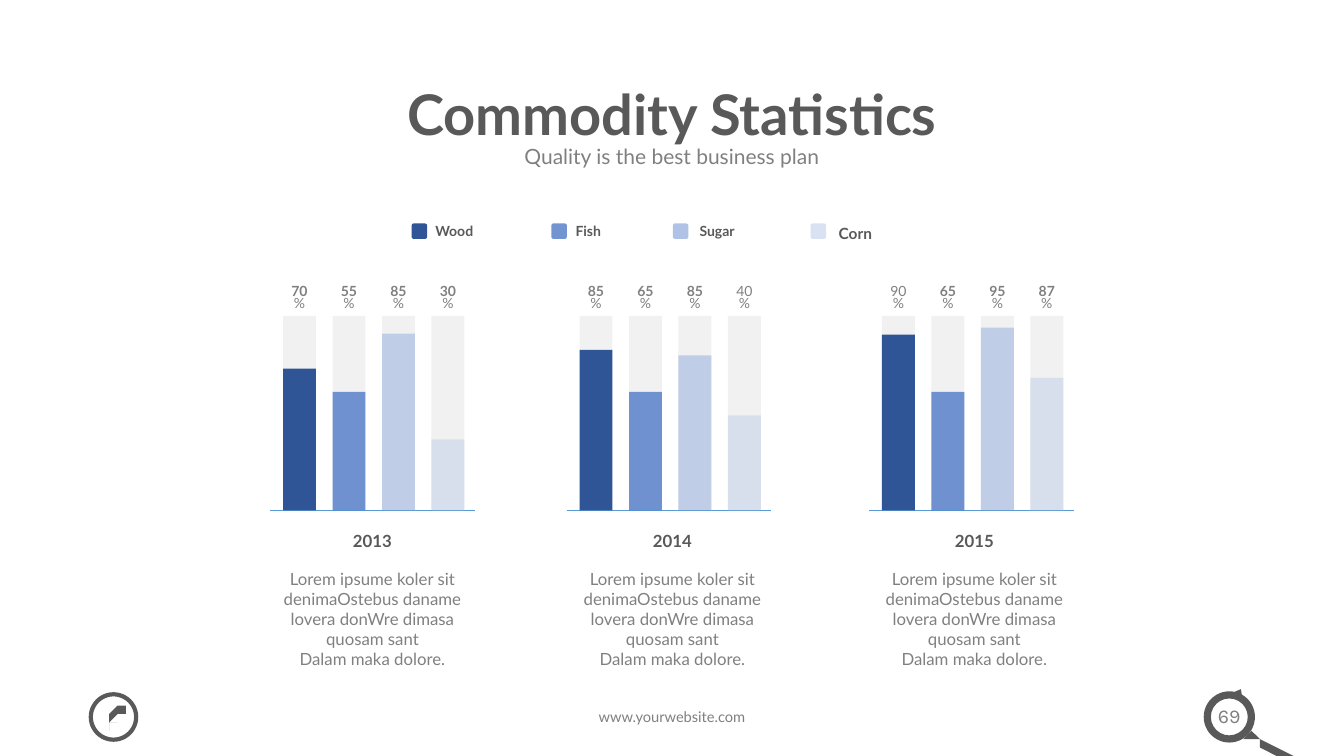
from lxml import etree
from pptx import Presentation
from pptx import util as u
from pptx.dml.color import RGBColor
from pptx.enum import shapes, text
from pptx.oxml.ns import qn

DARK = RGBColor(0x59, 0x59, 0x59)
GREY = RGBColor(0x80, 0x80, 0x80)
TRACK = RGBColor(0xF1, 0xF1, 0xF1)
AXIS = RGBColor(0x5B, 0x9B, 0xD5)
WOOD = RGBColor(0x2F, 0x55, 0x97)
FISH = RGBColor(0x44, 0x72, 0xC4)
SUGAR = RGBColor(0x8F, 0xAA, 0xDC)
CORN = RGBColor(0xB4, 0xC7, 0xE7)

prs = Presentation()
prs.slide_width, prs.slide_height = u.Emu(12192000), u.Emu(6858000)
UNIT = prs.slide_width // 160  # the slide is a grid of 160 columns by 90 rows
s = prs.slides.add_slide(prs.slide_layouts[5])


def write(box, content, sp=None, size=12, color=GREY, bold=False, font="Lato",
          align=text.PP_ALIGN.CENTER, anchor=text.MSO_ANCHOR.TOP,
          spacing=None, inset=(1.2, 0.6)):
    """Fill sp, or a new text box, at grid box; content is paragraphs of (text, bold) runs or a string."""
    box = [u.Emu(round(v * UNIT)) for v in box]
    sp = sp or s.shapes.add_textbox(*box)
    sp.left, sp.top, sp.width, sp.height = box
    tf = sp.text_frame
    tf.word_wrap, tf.auto_size, tf.vertical_anchor = True, text.MSO_AUTO_SIZE.NONE, anchor
    tf.margin_left = tf.margin_right = round(inset[0] * UNIT)
    tf.margin_top = tf.margin_bottom = round(inset[1] * UNIT)
    paragraphs = [[(content, bold)]] if isinstance(content, str) else content
    for i, runs in enumerate(paragraphs):
        p = tf.add_paragraph() if i else tf.paragraphs[0]
        p.alignment = align
        if spacing:
            p.line_spacing = spacing
        for words, heavy in runs:
            r = p.add_run()
            r.text = words
            r.font.name, r.font.size, r.font.bold = font, u.Pt(size), heavy
            r.font.color.rgb = color


def draw(kind, box, color, alpha=100, adj=(), outline=None):
    """Draw a preset at grid box, or a polygon when kind is None and box holds its points."""
    if kind is None:
        pen = s.shapes.build_freeform(*box[0], scale=UNIT)
        pen.add_line_segments(box[1:], close=True)
        sp = pen.convert_to_shape()
    else:
        sp = s.shapes.add_shape(kind, *[u.Emu(round(v * UNIT)) for v in box])
    sp.shadow.inherit = False
    for i, value in enumerate(adj):
        sp.adjustments[i] = value
    if outline:
        sp.fill.background()
        sp.line.color.rgb, sp.line.width = color, u.Pt(outline)
        return sp
    sp.line.fill.background()
    sp.fill.solid()
    sp.fill.fore_color.rgb = color
    if alpha < 100:
        clr = sp.fill._xPr.find(qn("a:solidFill"))[0]
        etree.SubElement(clr, qn("a:alpha")).set("val", str(alpha * 1000))
    return sp


MSO = shapes.MSO_SHAPE
MIDDLE = text.MSO_ANCHOR.MIDDLE

# Title and subtitle
write((20, 9, 120, 9.84), "Commodity Statistics", sp=s.shapes.title, size=40,
      color=DARK, bold=True, anchor=MIDDLE, spacing=0.9)
write((32, 16.32, 96, 4.68), "Quality is the best business plan", size=15, inset=(1.6, 0.8))

# Legend: name, colour, opacity, marker column, text column, text row, text size
legend = [
    ("Wood", WOOD, 100, 49, 51.84, 26.52, 10),
    ("Fish", FISH, 75, 65.64, 68.52, 26.52, 10),
    ("Sugar", SUGAR, 70, 80.1, 83.28, 26.52, 10),
    ("Corn", CORN, 50, 96.5, 99.84, 26.64, 11),
]
for name, color, alpha, marker, column, row, size in legend:
    draw(MSO.ROUNDED_RECTANGLE, (marker, 26.6, 1.85, 1.85), color, alpha, adj=[0.15])
    write((column, row, 11.64, 2.1), name, size=size, color=DARK, bold=True,
          align=text.PP_ALIGN.LEFT, inset=(0, 0))

# Bars: (percentage, bar height, bold number) for each commodity
BAR_W, PITCH, TOP, BASE = 3.92, 5.89, 37.6, 60.76
bar_styles = [(WOOD, 100), (FISH, 75), (SUGAR, 50), (CORN, 41)]
years = [
    ("2013", 33.7, 44.34, [(70, 16.88, True), (55, 14.12, True), (85, 21.04, True), (30, 8.44, True)]),
    ("2014", 69, 80.05, [(85, 19.12, True), (65, 14.12, True), (85, 18.44, True), (40, 11.32, False)]),
    ("2015", 105, 116, [(90, 20.92, False), (65, 14.12, True), (95, 21.76, True), (87, 15.76, True)]),
]
for year, left, centre, bars in years:
    for i in range(len(bars)):
        draw(MSO.RECTANGLE, (left + i * PITCH, TOP, BAR_W, BASE - TOP), TRACK)
    ends = (left - 1.54, BASE, left + 22.82, BASE)
    axis = s.shapes.add_connector(shapes.MSO_CONNECTOR.STRAIGHT,
                                  *[u.Emu(round(v * UNIT)) for v in ends])
    axis.line.color.rgb, axis.line.width = AXIS, u.Pt(0.25)
    etree.SubElement(axis._element.spPr, qn("a:effectLst"))
    for i, ((percent, height, bold), (color, alpha)) in enumerate(zip(bars, bar_styles)):
        x = left + i * PITCH
        draw(MSO.RECTANGLE, (x, BASE - height, BAR_W, height), color, alpha)
        write((x - 0.44, 33.6, 4.8, 4.08), [[(str(percent), bold), ("%", False)]],
              size=10, spacing=0.7)
    write((centre - 3.9, 62.64, 7.8, 3.48), year, color=DARK, bold=True, anchor=MIDDLE)
    write((centre - 14.34, 67.08, 28.68, 10.92), [
        [("Lorem ipsume koler sit denimaOstebus daname lovera donWre dimasa quosam sant", False)],
        [("Dalam maka dolore.", False)],
    ])

# Footer
write((51, 83.64, 58, 3.48), "www.yourwebsite.com", size=10.5)

# Magnifier around the page number
write((142.68, 83.16, 7.32, 4.08), "69", size=14, font="Karla")
draw(MSO.RIGHT_ARROW, (146.76, 81.96, 1.32, 1.32), DARK, adj=[0.32, 0.64]).rotation = 298.7
draw(MSO.DONUT, (143.3, 82.3, 6.1, 6.1), DARK, adj=[0.14])
handle = [(148.8, 86.9), (150.4, 87.9), (153.75, 90), (152.1, 90),
          (150, 88.56), (150.1, 88.4), (148.4, 87.5)]
draw(None, handle, DARK)

# Feather badge
draw(MSO.OVAL, (10.81, 82.66, 5.4, 5.4), DARK, outline=3)
feather = [(12.84, 87), (13.08, 86.4), (13.92, 85.92), (13.44, 85.68), (14.4, 85.2),
           (13.8, 85.08), (14.64, 84.72), (14.76, 84.24), (14.16, 84), (13.56, 84.72),
           (13.68, 84.12), (13.08, 84.6), (12.96, 85.8), (12.72, 85.32), (12.84, 86.28),
           (12.72, 87)]
draw(None, feather, DARK)

prs.save("out.pptx")
